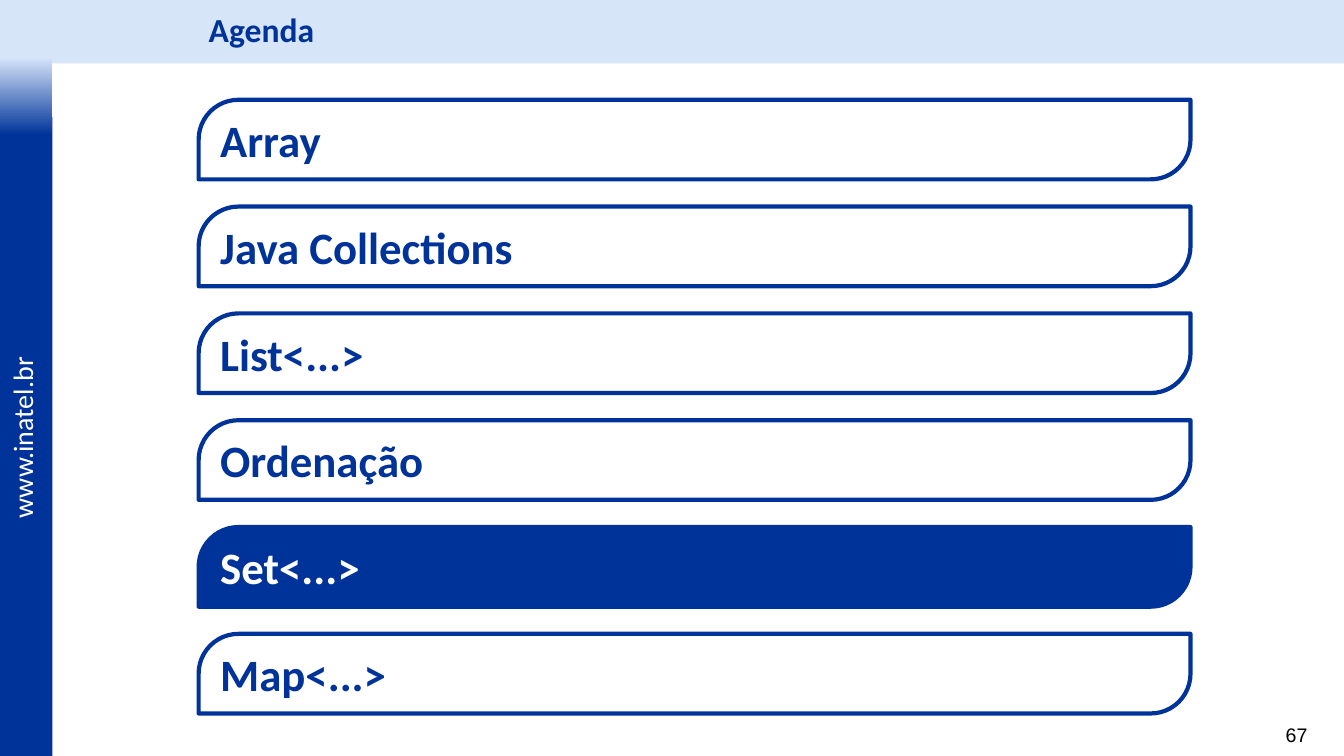
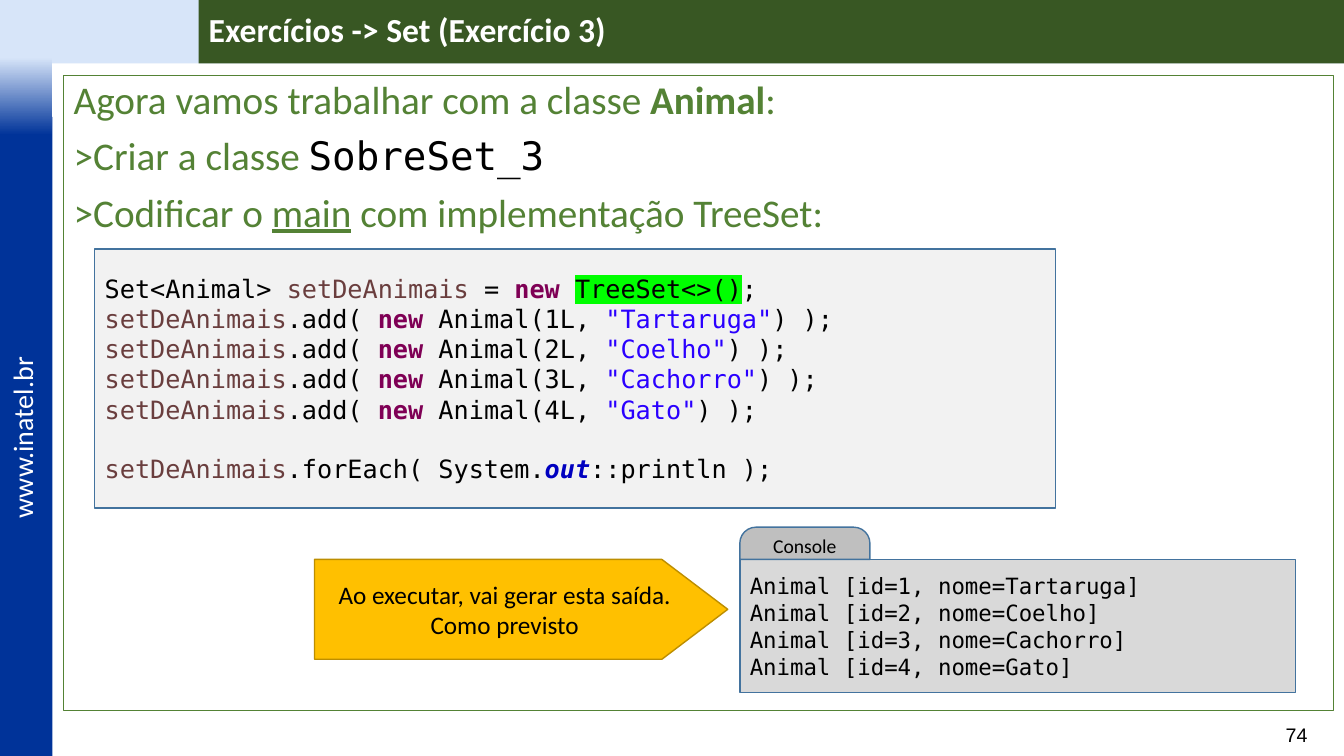
from dataclasses import dataclass

from pptx import Presentation
from pptx.dml.color import RGBColor
from pptx.enum.shapes import MSO_SHAPE
from pptx.enum.text import MSO_ANCHOR, MSO_AUTO_SIZE, PP_ALIGN
from pptx.oxml.ns import qn
from pptx.oxml.xmlchemy import OxmlElement
from pptx.util import Inches, Pt

RECT = MSO_SHAPE.RECTANGLE
BAR = MSO_SHAPE.ROUND_2_DIAG_RECTANGLE
TAB = MSO_SHAPE.ROUND_2_SAME_RECTANGLE
ARROW = MSO_SHAPE.PENTAGON
LEFT, CENTER, RIGHT = PP_ALIGN.LEFT, PP_ALIGN.CENTER, PP_ALIGN.RIGHT
TOP, MIDDLE = MSO_ANCHOR.TOP, MSO_ANCHOR.MIDDLE
NO_FIT = MSO_AUTO_SIZE.NONE
TITLE_AND_BODY, TITLE_ONLY = 1, 5
WIDTH, HEIGHT = Inches(13.333), Inches(7.5)


@dataclass(frozen=True)
class Theme:
    sans: str = "Calibri"
    mono: str = "DejaVu Sans Mono"
    number_font: str = "Arial"
    white: str = "FFFFFF"
    black: str = "000000"
    blue: str = "003399"
    pale_blue: str = "D7E5F9"
    dark_green: str = "385723"
    green: str = "548235"
    outline: str = "43739E"
    code_fill: str = "F2F2F2"
    console_fill: str = "D9D9D9"
    tab_fill: str = "BFBFBF"
    arrow_fill: str = "FFC000"
    arrow_line: str = "BD8E00"
    variable: str = "6A3E3E"
    keyword: str = "7F0055"
    string: str = "2A00FF"
    static: str = "0000C0"
    marker: str = "00FF00"
    bar_size: int = 32
    body_size: int = 28
    title_size: int = 24
    url_size: int = 20
    code_size: int = 18
    console_size: int = 16
    small_size: int = 14


T = Theme()


@dataclass(frozen=True)
class Box:
    """Position and size in percent of the slide."""
    x: float
    y: float
    w: float
    h: float

    def emu(self) -> tuple[int, int, int, int]:
        return (int(WIDTH * self.x / 100), int(HEIGHT * self.y / 100),
                int(WIDTH * self.w / 100), int(HEIGHT * self.h / 100))


@dataclass(frozen=True)
class Look:
    fill: str | None = None
    line: str | None = None
    weight: float = 1
    kind: MSO_SHAPE = RECT
    adj: tuple[float, ...] = ()


@dataclass(frozen=True)
class Run:
    text: str
    color: str | None = None
    font: str | None = None
    bold: bool = False
    italic: bool = False
    underline: bool = False
    marker: str | None = None


@dataclass(frozen=True)
class Style:
    size: int
    color: str = T.black
    font: str = T.sans
    bold: bool = False
    align: PP_ALIGN = LEFT
    anchor: MSO_ANCHOR = MIDDLE
    spacing: float = 1
    before: float = 0


@dataclass(frozen=True)
class Line:
    runs: tuple[Run, ...]
    before: float | None = None


TITLE_BOX = Box(14.78, 0, 85.22, 8.4)
NUMBER_BOX = Box(93.15, 94.93, 4.88, 4.53)
URL_BOX = Box(-5.4, 54.53, 14.03, 5.73)
BAR_BOX = Box(14.78, 13.2, 73.8, 10.53)
BAR_PITCH = 14.13
BODY_BOX = Box(4.73, 10, 94.5, 84)
CODE_BOX = Box(7.05, 32.93, 71.48, 34.27)
CONSOLE_BOX = Box(55.05, 74, 41.33, 17.6)
TAB_BOX = Box(55.05, 69.73, 9.68, 4.27)
ARROW_BOX = Box(23.4, 74, 30.75, 13.2)

CODE = Style(T.code_size, font=T.mono)
CONSOLE = Style(T.console_size, font=T.mono)
BODY = Style(T.body_size, T.green, anchor=TOP, spacing=0.9, before=10)

TOPICS = ("Array", "Java Collections", "List<...>", "Ordenação",
          "Set<...>", "Map<...>")
ANIMALS = ("Tartaruga", "Coelho", "Cachorro", "Gato")


def rgb(color: str) -> RGBColor:
    return RGBColor.from_string(color)


def plain(*texts: str) -> list[Line]:
    return [Line((Run(text),)) for text in texts]


def place(sp, box: Box) -> None:
    for name, value in zip(("left", "top", "width", "height"), box.emu()):
        setattr(sp, name, value)


def paint(sp, look: Look) -> None:
    if look.fill:
        sp.fill.solid()
        sp.fill.fore_color.rgb = rgb(look.fill)
    if look.line:
        sp.line.color.rgb = rgb(look.line)
        sp.line.width = Pt(look.weight)
    else:
        sp.line.fill.background()


def add_run(p, run: Run, style: Style) -> None:
    r = p.add_run()
    r.text = run.text
    formats = {
        "name": run.font or style.font,
        "size": Pt(style.size),
        "bold": run.bold or style.bold,
        "italic": run.italic,
        "underline": run.underline,
    }
    for name, value in formats.items():
        setattr(r.font, name, value)
    r.font.color.rgb = rgb(run.color or style.color)
    if run.marker:
        highlight = OxmlElement("a:highlight")
        color = OxmlElement("a:srgbClr")
        color.set("val", run.marker)
        highlight.append(color)
        r.font.fill  
        r._r.rPr.find(qn("a:solidFill")).addnext(highlight)


def write(sp, lines: list[Line], style: Style) -> None:
    tf = sp.text_frame
    for name, value in {"word_wrap": True, "auto_size": NO_FIT,
                        "vertical_anchor": style.anchor}.items():
        setattr(tf, name, value)
    for i, line in enumerate(lines):
        p = tf.add_paragraph() if i else tf.paragraphs[0]
        if sp.is_placeholder:
            pPr = p._p.get_or_add_pPr()
            for name in ("marL", "indent"):
                pPr.set(name, "0")
            pPr.append(OxmlElement("a:buNone"))
        before = style.before if line.before is None else line.before
        formats = {"alignment": style.align, "line_spacing": style.spacing,
                   "space_before": Pt(before if i else 0),
                   "space_after": Pt(0)}
        for name, value in formats.items():
            setattr(p, name, value)
        for run in line.runs:
            add_run(p, run, style)


def add_shape(s, box: Box, look: Look, lines: list[Line] | None = None,
              style: Style | None = None):
    sp = s.shapes.add_shape(look.kind, *box.emu())
    sp.shadow.inherit = False
    for i, value in enumerate(look.adj):
        sp.adjustments[i] = value
    paint(sp, look)
    if lines and style:
        write(sp, lines, style)
    return sp


def add_text(s, box: Box, text: str, style: Style):
    sp = s.shapes.add_textbox(*box.emu())
    write(sp, plain(text), style)
    return sp


def build_master(prs, s) -> None:
    band = add_shape(s, Box(0, 0, 100, 8.4), Look(T.pale_blue))
    side = add_shape(s, Box(0, 15.47, 3.9, 84.53), Look(T.blue))
    fade = add_shape(s, Box(0, 7.6, 3.9, 10.27), Look())
    fade.fill.gradient()
    fade.fill.gradient_angle = 270
    for stop, color in zip(fade.fill.gradient_stops, (T.pale_blue, T.blue)):
        stop.color.rgb = rgb(color)
    url = add_text(s, URL_BOX, "www.inatel.br",
                   Style(T.url_size, T.white, anchor=TOP))
    url.rotation = 270
    tree = prs.slide_master.shapes.element
    for i, sp in enumerate((band, side, fade, url)):
        tree.insert(2 + i, sp.element)


def add_slide(prs, layout: int, title: str, number: int, color: str,
              fill: str | None = None):
    s = prs.slides.add_slide(prs.slide_layouts[layout])
    sp = s.shapes.title
    place(sp, TITLE_BOX)
    paint(sp, Look(fill))
    write(sp, plain(title),
          Style(T.title_size, color, bold=True, spacing=0.9))
    add_text(s, NUMBER_BOX, str(number),
             Style(T.small_size, font=T.number_font, align=RIGHT, anchor=TOP))
    return s


def build_agenda(prs, current: str) -> None:
    s = add_slide(prs, TITLE_ONLY, "Agenda", 67, T.blue)
    build_master(prs, s)
    for i, topic in enumerate(TOPICS):
        fill, color = ((T.blue, T.white) if topic == current
                       else (T.white, T.blue))
        box = Box(BAR_BOX.x, BAR_BOX.y + i * BAR_PITCH, BAR_BOX.w, BAR_BOX.h)
        add_shape(s, box, Look(fill, T.blue, 3, BAR, (0.5, 0)), plain(topic),
                  Style(T.bar_size, color, bold=True))


def code_lines() -> list[Line]:
    variable = Run("setDeAnimais", T.variable)
    new = Run("new", T.keyword, bold=True)
    create = Line((Run("Set<Animal> "), variable, Run(" = "), new, Run(" "),
                   Run("TreeSet<>()", marker=T.marker), Run(";")))
    adds = [Line((variable, Run(".add( "), new, Run(f" Animal({i}L, "),
                  Run(f'"{name}"', T.string), Run(") );")))
            for i, name in enumerate(ANIMALS, 1)]
    show = Line((variable, Run(".forEach( System."),
                 Run("out", T.static, bold=True, italic=True),
                 Run("::println );")), before=21)
    return [create, *adds, show]


def build_exercise(prs) -> None:
    s = add_slide(prs, TITLE_AND_BODY, "Exercícios -> Set (Exercício 3)", 74,
                  T.white, T.dark_green)
    body = s.placeholders[1]
    place(body, BODY_BOX)
    paint(body, Look(T.white, T.green))
    write(body, [
        Line((Run("Agora vamos trabalhar com a classe "),
              Run("Animal", bold=True), Run(":"))),
        Line((Run(">Criar a classe "), Run("SobreSet_3", T.black, T.mono))),
        Line((Run(">Codificar o "), Run("main", underline=True),
              Run(" com implementação TreeSet:"))),
    ], BODY)
    add_shape(s, CODE_BOX, Look(T.code_fill, T.outline), code_lines(), CODE)
    output = [f"Animal [id={i}, nome={name}]"
              for i, name in enumerate(ANIMALS, 1)]
    add_shape(s, CONSOLE_BOX, Look(T.console_fill, T.outline),
              plain(*output), CONSOLE)
    add_shape(s, TAB_BOX, Look(T.tab_fill, T.outline, 1, TAB, (0.5, 0)),
              plain("Console"), Style(T.small_size, align=CENTER))
    add_shape(s, ARROW_BOX,
              Look(T.arrow_fill, T.arrow_line, 1, ARROW, (0.66,)),
              plain("Ao executar, vai gerar esta saída.", "Como previsto"),
              Style(T.code_size, align=CENTER))


def main() -> None:
    prs = Presentation()
    prs.slide_width, prs.slide_height = WIDTH, HEIGHT
    build_agenda(prs, "Set<...>")
    build_exercise(prs)
    prs.save("out.pptx")


if __name__ == "__main__":
    main()
